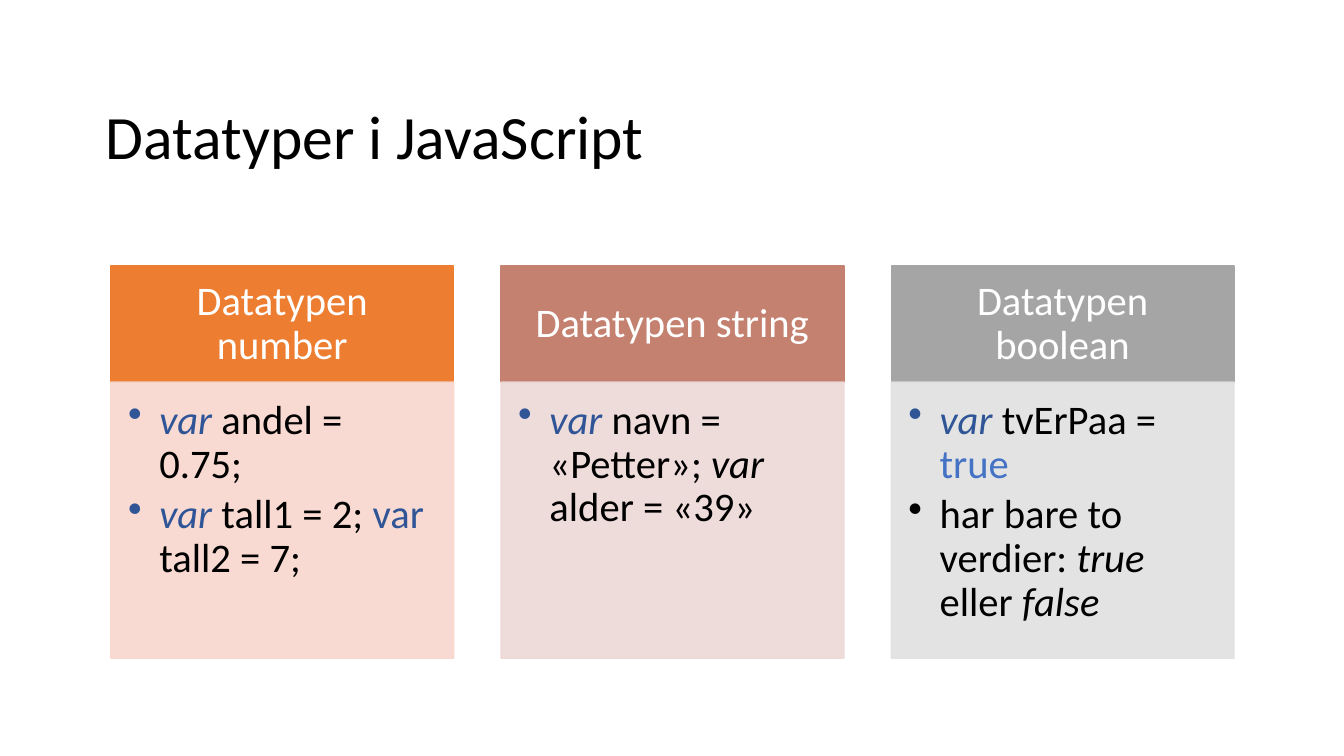
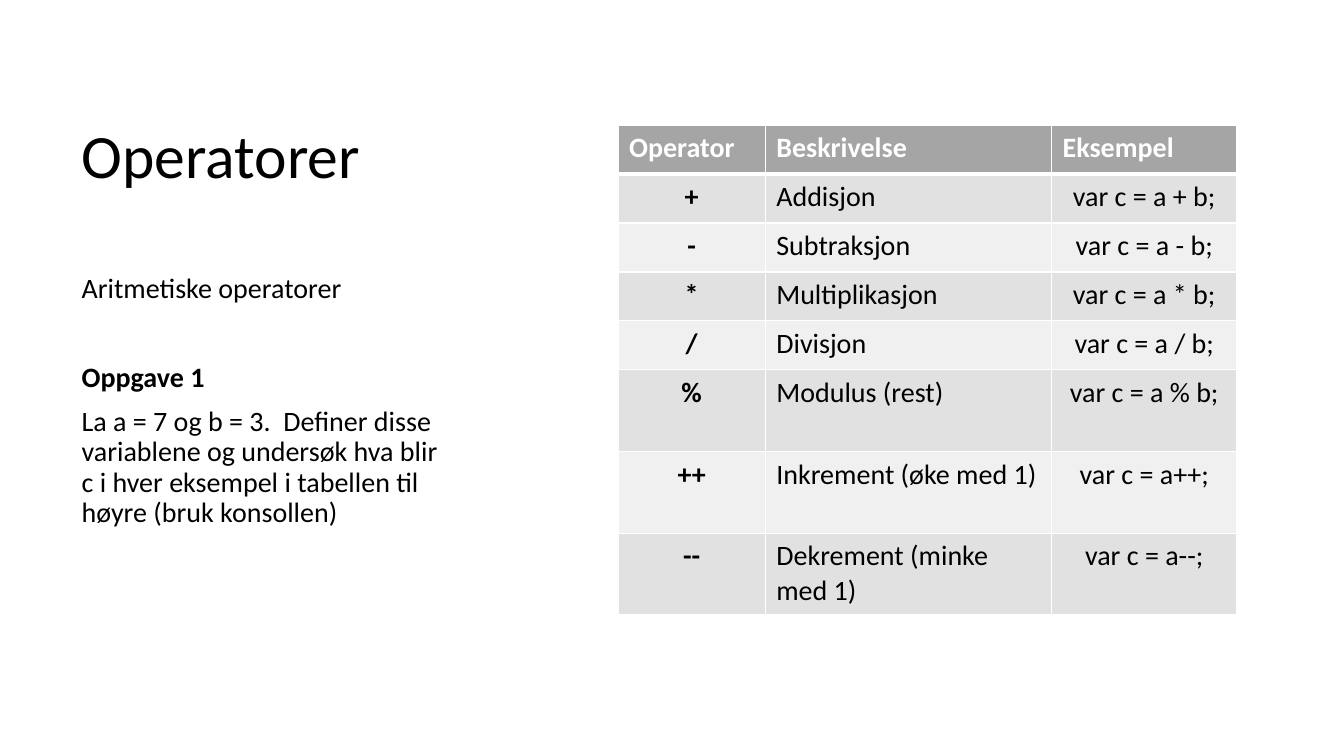
from dataclasses import dataclass

from lxml import etree
from pptx import Presentation
from pptx.dml.color import RGBColor
from pptx.enum.shapes import MSO_SHAPE
from pptx.enum.text import MSO_ANCHOR, MSO_AUTO_SIZE, PP_ALIGN
from pptx.oxml.ns import qn
from pptx.util import Inches, Pt

RECTANGLE = MSO_SHAPE.RECTANGLE
TOP, MIDDLE = MSO_ANCHOR.TOP, MSO_ANCHOR.MIDDLE
LEFT, CENTER = PP_ALIGN.LEFT, PP_ALIGN.CENTER
TITLE_ONLY, TITLE_AND_BODY = 5, 1


@dataclass(frozen=True)
class Theme:
    font: str = "Calibri"
    title_size: int = 44
    card_size: int = 29
    text_size: int = 20
    line_spacing: float = 0.9
    black: str = "000000"
    white: str = "FFFFFF"
    keyword: str = "2F5597"
    literal: str = "4472C4"
    grey: str = "A5A5A5"
    row_dark: str = "E1E1E1"
    row_light: str = "F0F0F0"


THEME = Theme()

# Run styles: (colour, italic)
PLAIN = (THEME.black, False)
ITALIC = (THEME.black, True)
KEYWORD = (THEME.keyword, True)
KEYWORD_UPRIGHT = (THEME.keyword, False)
LITERAL = (THEME.literal, False)

# Cards: heading, heading colour, body colour, bullets made of styled runs
CARDS = [
    ("Datatypen number", "ED7D31", "F8D7CE", [
        [("var ", KEYWORD), ("andel = 0.75;", PLAIN)],
        [("var", KEYWORD), (" tall1 = 2; ", PLAIN),
         ("var", KEYWORD_UPRIGHT), (" tall2 = 7;", PLAIN)],
    ]),
    ("Datatypen string", "C48170", "EDD9D7", [
        [("var ", KEYWORD), ("navn = «Petter»; ", PLAIN),
         ("var", ITALIC), (" alder = «39»", PLAIN)],
    ]),
    ("Datatypen boolean", THEME.grey, THEME.row_dark, [
        [("var ", KEYWORD), ("tvErPaa = ", PLAIN), ("true", LITERAL)],
        [("har bare to verdier: ", PLAIN), ("true", ITALIC),
         (" eller ", PLAIN), ("false", ITALIC)],
    ]),
]

OPERATORS = [
    ("Operator", "Beskrivelse", "Eksempel"),
    ("+", "Addisjon", "var c = a + b;"),
    ("-", "Subtraksjon", "var c = a - b;"),
    ("*", "Multiplikasjon", "var c = a * b;"),
    ("/", "Divisjon", "var c = a / b;"),
    ("%", "Modulus (rest)", "var c = a % b;"),
    ("++", "Inkrement (øke med 1)", "var c = a++;"),
    ("--", "Dekrement (minke med 1)", "var c = a--;"),
]

# Exercise paragraphs: text, bold, space before in points
EXERCISE = [
    ("Aritmetiske operatorer", False, 10),
    ("Oppgave 1", True, 42),
    ("La a = 7 og b = 3.  Definer disse variablene og undersøk hva blir "
     "c i hver eksempel i tabellen til høyre (bruk konsollen)", False, 10),
]


# Shared helpers
def rgb(colour):
    return RGBColor.from_string(colour)


def place(shape, box):
    shape.left, shape.top, shape.width, shape.height = map(Inches, box)


def style_runs(paragraph, size, colour=THEME.black, bold=False):
    for run in paragraph.runs:
        font = run.font
        font.name, font.size, font.bold = THEME.font, Pt(size), bold
        font.color.rgb = rgb(colour)


def set_bullet(paragraph, character=None, indent=0):
    properties = paragraph._p.get_or_add_pPr()
    properties.set("marL", str(Inches(indent)))
    properties.set("indent", str(-Inches(indent)))
    if character:
        etree.SubElement(properties, qn("a:buChar")).set("char", character)
    else:
        etree.SubElement(properties, qn("a:buNone"))


def set_insets(target, left, top, right, bottom):
    target.margin_left, target.margin_top = Inches(left), Inches(top)
    target.margin_right, target.margin_bottom = Inches(right), Inches(bottom)


def set_opacity(color_holder, percent):
    for colour in color_holder.iter(qn("a:srgbClr")):
        etree.SubElement(colour, qn("a:alpha")).set("val", str(percent * 1000))


def add_title(slide, text, box):
    title = slide.shapes.title
    place(title, box)
    frame = title.text_frame
    frame.text = text
    frame.auto_size = MSO_AUTO_SIZE.NONE
    frame.vertical_anchor = MIDDLE
    paragraph = frame.paragraphs[0]
    paragraph.alignment = LEFT
    paragraph.line_spacing = THEME.line_spacing
    style_runs(paragraph, THEME.title_size)


# Data type cards
def add_panel(slide, box, colour, anchor, insets):
    panel = slide.shapes.add_shape(RECTANGLE, *map(Inches, box))
    panel.shadow.inherit = False
    panel.fill.solid()
    panel.fill.fore_color.rgb = rgb(colour)
    panel.line.color.rgb = rgb(colour)
    panel.line.width = Pt(1)
    frame = panel.text_frame
    frame.word_wrap = True
    frame.vertical_anchor = anchor
    set_insets(frame, *insets)
    return panel


def add_card(slide, box, heading, heading_colour, body_colour, bullets):
    left, top, width, height = box
    heading_height = 1.15

    # Heading band
    band = add_panel(slide, (left, top, width, heading_height), heading_colour,
                     MIDDLE, (0.23, 0.13, 0.23, 0.13))
    band.text_frame.text = heading
    paragraph = band.text_frame.paragraphs[0]
    paragraph.alignment = CENTER
    paragraph.line_spacing = THEME.line_spacing
    style_runs(paragraph, THEME.card_size, THEME.white)

    # Bulleted body
    body = add_panel(
        slide, (left, top + heading_height, width, height - heading_height),
        body_colour, TOP, (0.17, 0.17, 0.23, 0.25))
    set_opacity(body._element.spPr, 90)
    frame = body.text_frame
    for index, pieces in enumerate(bullets):
        paragraph = frame.add_paragraph() if index else frame.paragraphs[0]
        paragraph.alignment = LEFT
        paragraph.line_spacing = THEME.line_spacing
        paragraph.space_after = Pt(5)
        set_bullet(paragraph, "•", 0.31)
        for text, _ in pieces:
            paragraph.add_run().text = text
        style_runs(paragraph, THEME.card_size)
        for run, (_, (colour, italic)) in zip(paragraph.runs, pieces):
            run.font.color.rgb = rgb(colour)
            run.font.italic = italic


def add_cards(slide, box):
    left, top, width, height = box
    gap = 0.47
    card_width = (width - gap * (len(CARDS) - 1)) / len(CARDS)
    for index, card in enumerate(CARDS):
        card_left = left + index * (card_width + gap)
        add_card(slide, (card_left, top, card_width, height), *card)


# Exercise text
def add_exercise(slide, box):
    body = slide.placeholders[1]
    place(body, box)
    frame = body.text_frame
    frame.text = "\n".join(text for text, _, _ in EXERCISE)
    frame.auto_size = MSO_AUTO_SIZE.NONE
    for paragraph, (_, bold, space) in zip(frame.paragraphs, EXERCISE):
        paragraph.line_spacing = THEME.line_spacing
        paragraph.space_before = Pt(space)
        set_bullet(paragraph)
        style_runs(paragraph, THEME.text_size, bold=bold)


# Operator table
def set_borders(cell, bottom_width, top_width):
    properties = cell._tc.get_or_add_tcPr()
    widths = {"a:lnL": 1, "a:lnR": 1, "a:lnT": top_width, "a:lnB": bottom_width}
    for position, (tag, width) in enumerate(widths.items()):
        line = etree.Element(qn(tag), w=str(Pt(width)))
        fill = etree.SubElement(line, qn("a:solidFill"))
        etree.SubElement(fill, qn("a:srgbClr")).set("val", THEME.white)
        properties.insert(position, line)


def format_cell(cell, text, row, column):
    is_header = row == 0
    cell.text = text
    set_insets(cell, 0.11, 0.06, 0.11, 0.06)
    paragraph = cell.text_frame.paragraphs[0]
    paragraph.alignment = LEFT if is_header or column == 1 else CENTER
    style_runs(paragraph, THEME.text_size,
               THEME.white if is_header else THEME.black,
               bold=is_header or column == 0)
    band = THEME.row_dark if row % 2 else THEME.row_light
    cell.fill.solid()
    cell.fill.fore_color.rgb = rgb(THEME.grey if is_header else band)
    set_borders(cell, 3 if is_header else 1, 3 if row == 1 else 1)


def add_operator_table(slide, box):
    width, height = box[2:]
    tall_rows, tall = 3, 0.81
    short_rows = len(OPERATORS) - tall_rows
    short = (height - tall_rows * tall) / short_rows
    heights = [short] * short_rows + [tall] * tall_rows
    widths = [1.46, 2.84, width - 1.46 - 2.84]
    table = slide.shapes.add_table(
        len(heights), len(widths), *map(Inches, box)).table
    for column, column_width in zip(table.columns, widths):
        column.width = Inches(column_width)
    for row, (texts, row_height) in enumerate(zip(OPERATORS, heights)):
        table.rows[row].height = Inches(row_height)
        for column, text in enumerate(texts):
            format_cell(table.cell(row, column), text, row, column)


# Slides
def add_slide(presentation, layout):
    return presentation.slides.add_slide(presentation.slide_layouts[layout])


def add_data_types_slide(presentation):
    slide = add_slide(presentation, TITLE_ONLY)
    add_title(slide, "Datatyper i JavaScript", (0.95, 0.66, 11.43, 1.45))
    add_cards(slide, (1.1, 2.64, 11.14, 3.89))


def add_operators_slide(presentation):
    slide = add_slide(presentation, TITLE_AND_BODY)
    add_title(slide, "Operatorer", (0.71, 0.69, 3.83, 1.77))
    add_exercise(slide, (0.71, 2.67, 3.83, 4.14))
    add_operator_table(slide, (6.13, 1.24, 6.14, 4.86))


def main():
    presentation = Presentation()
    presentation.slide_width = Inches(13.33)
    presentation.slide_height = Inches(7.5)
    add_data_types_slide(presentation)
    add_operators_slide(presentation)
    presentation.save("out.pptx")


if __name__ == "__main__":
    main()
